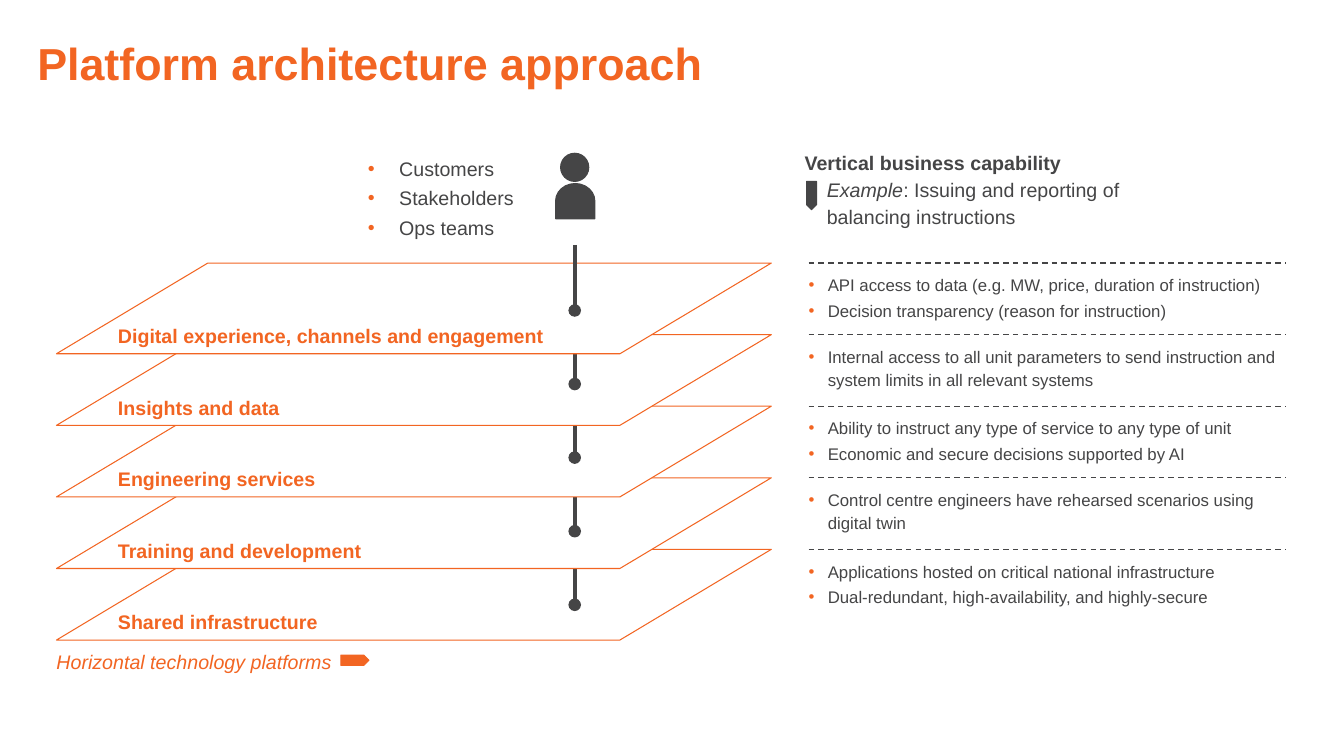
import dataclasses

import lxml.etree
import pptx
import pptx.dml.color
import pptx.enum.dml
import pptx.enum.shapes
import pptx.enum.text
import pptx.oxml.ns
import pptx.util

KIND = pptx.enum.shapes.MSO_SHAPE
ANCHOR = pptx.enum.text.MSO_ANCHOR
qn = pptx.oxml.ns.qn


@dataclasses.dataclass(frozen=True)
class Theme:
    """Colours, type sizes and the grid cell of the slide."""
    accent: str = "F26522"
    ink: str = "454546"
    paper: str = "FFFFFF"
    font: str = "Arial"
    head: int = 32
    body: int = 14
    note: int = 12
    cell: float = 0.1
    pitch: float = 7.1


THEME = Theme()
LAYERS = [
    ("Digital experience, channels and engagement",
     ["API access to data (e.g. MW, price, duration of instruction)",
      "Decision transparency (reason for instruction)"]),
    ("Insights and data",
     ["Internal access to all unit parameters to send instruction and "
      "system limits in all relevant systems"]),
    ("Engineering services",
     ["Ability to instruct any type of service to any type of unit",
      "Economic and secure decisions supported by AI"]),
    ("Training and development",
     ["Control centre engineers have rehearsed scenarios using digital twin"]),
    ("Shared infrastructure",
     ["Applications hosted on critical national infrastructure",
      "Dual-redundant, high-availability, and highly-secure"]),
]


def grid(*cells):
    """Turn grid cells into slide lengths."""
    return [pptx.util.Inches(n * THEME.cell) for n in cells]


def paint(code):
    """Return a colour for a hex code."""
    return pptx.dml.color.RGBColor.from_string(code)


def style(para, size, color, bold=False, italic=None):
    """Set the font of a paragraph."""
    font = para.font
    font.name, font.size = THEME.font, pptx.util.Pt(size)
    font.bold, font.italic = bold, italic
    font.color.rgb = paint(color)


def frame(shape, anchor):
    """Give a shape a wrapping text frame without margins."""
    body = shape.text_frame
    body.word_wrap = True
    body.auto_size = pptx.enum.text.MSO_AUTO_SIZE.NONE
    body.vertical_anchor = anchor
    body.margin_left = body.margin_right = body.margin_top = body.margin_bottom = 0
    return body


def bullet(para, indent):
    """Hang a paragraph on an accent bullet."""
    props = para._p.get_or_add_pPr()
    wide = pptx.util.Inches(indent)
    props.set("marL", str(wide))
    props.set("indent", str(-wide))
    tint = lxml.etree.SubElement(props, qn("a:buClr"))
    lxml.etree.SubElement(tint, qn("a:srgbClr"), val=THEME.accent)
    lxml.etree.SubElement(props, qn("a:buFont"), typeface=THEME.font)
    lxml.etree.SubElement(props, qn("a:buChar"), char="•")


def write(slide, box, lines, size, color, indent=0, anchor=ANCHOR.TOP,
          bold=False, italic=None):
    """Add a text box, with one paragraph for each list of runs."""
    body = frame(slide.shapes.add_textbox(*grid(*box)), anchor)
    for i, runs in enumerate(lines):
        para = body.add_paragraph() if i else body.paragraphs[0]
        para.line_spacing, para.space_after = 1.14, pptx.util.Pt(2)
        if indent:
            bullet(para, indent)
        style(para, size, color, bold, italic)
        for text in runs:
            para.add_run().text = text
    return body


def solid(shapes, kind, box, fill, line, turn=0, adjust=()):
    """Add a filled, outlined preset shape."""
    shape = shapes.add_shape(kind, *grid(*box))
    shape.shadow.inherit = False
    shape.fill.solid()
    shape.fill.fore_color.rgb = paint(fill)
    shape.line.color.rgb = paint(line)
    shape.line.width = pptx.util.Pt(0.75)
    shape.rotation = turn
    for i, value in enumerate(adjust):
        shape.adjustments[i] = value


def rule(slide, ends, width, dash=None, dots=()):
    """Add a straight line, dashed or with dots at its ends."""
    line = slide.shapes.add_connector(
        pptx.enum.shapes.MSO_CONNECTOR.STRAIGHT, *grid(*ends))
    line.line.color.rgb = paint(THEME.ink)
    line.line.width = pptx.util.Pt(width)
    if dash:
        line.line.dash_style = dash
    props = line._element.spPr
    for end in dots:
        lxml.etree.SubElement(props.find(qn("a:ln")), qn(end), type="oval")
    lxml.etree.SubElement(props, qn("a:effectLst"))


def title(slide, box):
    """Place the slide title."""
    head = slide.shapes.title
    head.left, head.top, head.width, head.height = grid(*box)
    body = frame(head, ANCHOR.MIDDLE)
    body.text = "Platform architecture approach"
    para = body.paragraphs[0]
    para.alignment = pptx.enum.text.PP_ALIGN.LEFT
    para.line_spacing = 0.8
    style(para, THEME.head, THEME.accent, bold=True)


def stack(slide, box):
    """Draw the layered platforms from the lowest up, and their caption."""
    x, y, w, h = box
    deep, stem = 9, x + 51.4
    for i in reversed(range(len(LAYERS))):
        top = y + i * THEME.pitch
        solid(slide.shapes, KIND.PARALLELOGRAM, (x, top, w, deep),
              THEME.paper, THEME.accent, adjust=[1.668])
        foot = y + 4.7 + i * 7.3
        rise, dots = (8.6, ("a:headEnd", "a:tailEnd")) if i else (6.5, ("a:tailEnd",))
        rule(slide, (stem, foot - rise, stem, foot), 3, dots=dots)
        write(slide, (x + 6.1, top + 5.2, 45.3, 3.7), [[LAYERS[i][0]]],
              THEME.body, THEME.accent, anchor=ANCHOR.MIDDLE, bold=True)
    write(slide, (x, y + h, 31.5, 3.7), [["Horizontal technology platforms"]],
          THEME.body, THEME.accent, anchor=ANCHOR.MIDDLE, italic=True)
    solid(slide.shapes, KIND.DOWN_ARROW, (x + 29.1, y + h + 0.5, 1, 2.8),
          THEME.accent, THEME.accent, 270, [1, 0.5])


def users(slide, box):
    """List the users beside a figure."""
    x, y, w, h = box
    write(slide, (x, y, 17, h), [["Customers"], ["Stakeholders"], ["Ops teams"]],
          THEME.body, THEME.ink, indent=0.31)
    person = slide.shapes.add_group_shape().shapes
    solid(person, KIND.FLOWCHART_DELAY, (x + w - 3.7, y + 2.8, 3.5, 3.9),
          THEME.ink, THEME.ink, 270)
    solid(person, KIND.FLOWCHART_CONNECTOR, (x + w - 3.4, y, 2.8, 2.8),
          THEME.ink, THEME.ink)


def needs(slide, box):
    """Head the capability column and list the points of each layer."""
    x, y, w, h = box
    write(slide, (x - 0.4, y - 11.5, 39.4, 3.5), [["Vertical business capability"]],
          THEME.body, THEME.ink, bold=True)
    body = write(slide, (x + 1.8, y - 8.8, 34.2, 8.3),
                 [["Example", ": Issuing and reporting of balancing instructions"]],
                 THEME.body, THEME.ink)
    body.paragraphs[0].runs[0].font.italic = True
    solid(slide.shapes, KIND.DOWN_ARROW, (x - 0.2, y - 8.1, 1, 2.8),
          THEME.ink, THEME.ink, adjust=[1, 0.5])
    for i, (_, points) in enumerate(LAYERS):
        top = y + i * THEME.pitch
        rule(slide, (x, top, x + w, top), 1, pptx.enum.dml.MSO_LINE.DASH)
        write(slide, (x, top + 0.9, w, h), [[text] for text in points],
              THEME.note, THEME.ink, indent=0.19)


def main():
    """Build and save the slide."""
    deck = pptx.Presentation()
    deck.slide_width, deck.slide_height = grid(133.3, 75)
    slide = deck.slides.add_slide(deck.slide_layouts[5])
    title(slide, (3.7, 4.6, 126, 4.3))
    stack(slide, (5.6, 26.1, 70.9, 37.5))
    users(slide, (36.5, 15.2, 22.5, 8.3))
    needs(slide, (80.2, 26.1, 47.3, 5.5))
    deck.save("out.pptx")


if __name__ == "__main__":
    main()
